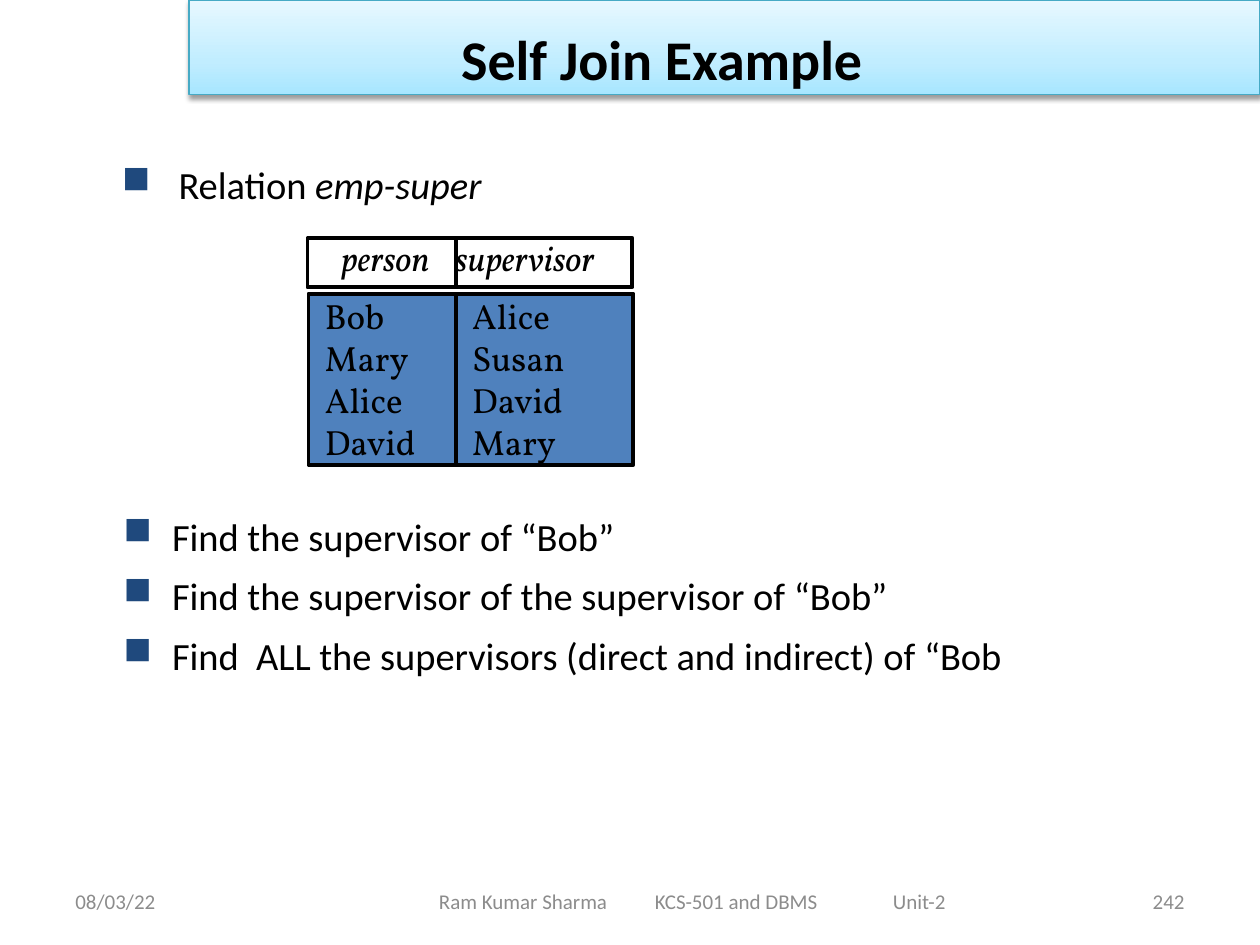
from lxml import etree
from pptx import Presentation
from pptx.dml.color import RGBColor
from pptx.enum.shapes import MSO_CONNECTOR, MSO_SHAPE
from pptx.enum.text import MSO_ANCHOR, PP_ALIGN
from pptx.oxml import parse_xml
from pptx.oxml.ns import qn
from pptx.util import Cm, Pt

RECT, LINE = MSO_SHAPE.RECTANGLE, MSO_CONNECTOR.STRAIGHT
TOP, MID = MSO_ANCHOR.TOP, MSO_ANCHOR.MIDDLE
LEFT, MIDDLE, RIGHT = PP_ALIGN.LEFT, PP_ALIGN.CENTER, PP_ALIGN.RIGHT
NS = 'xmlns:a="http://schemas.openxmlformats.org/drawingml/2006/main"'

# Content
TITLE = "Self Join Example"
INTRO = [("Relation ", {}), ("emp-super", {"italic": True})]
TASKS = [
    "Find the supervisor of “Bob”",
    "Find the supervisor of the supervisor of “Bob”",
    "Find  ALL the supervisors (direct and indirect) of “Bob",
]
HEAD = ("person", "supervisor")
ROWS = [("Bob", "Alice"), ("Mary", "Susan"), ("Alice", "David"), ("David", "Mary")]
DATE, PAGE = "08/03/22", "242"
FOOT = ("Ram Kumar Sharma", "KCS-501 and DBMS", "Unit-2")

# Formats
BODY = {"name": "Calibri", "size": Pt(22)}
BOLD = {"name": "Calibri", "size": Pt(32), "bold": True}
CELL = {"name": "Vollkorn", "size": Pt(20)}
SMALL = {"name": "Calibri", "size": Pt(12)}
BLACK, GREY, NAVY, BLUE, WHITE = "000000", "8C8C8C", "1F497D", "4F81BD", "FFFFFF"
STOPS = [(0, "A7E6FF"), (35, "C1EDFF"), (100, "E7F8FF")]


def color(code):
    return RGBColor.from_string(code)


def style(font, form, code):
    for key, value in form.items():
        setattr(font, key, value)
    font.color.rgb = color(code)


def text(home, box, paras, form, code=BLACK, align=LEFT, anchor=TOP, inset=0.25):
    """Each paragraph is a list of (words, extra format) runs."""
    frame = home.add_textbox(*map(Cm, box)).text_frame
    frame.word_wrap = True
    frame.vertical_anchor = anchor
    frame.margin_left = Cm(inset)
    for i, runs in enumerate(paras):
        para = frame.add_paragraph() if i else frame.paragraphs[0]
        para.alignment = align
        for words, extra in runs:
            run = para.add_run()
            run.text = words
            style(run.font, {**form, **extra}, code)
    return frame.paragraphs


def tabs(paras, stops):
    for para in paras:
        part = etree.SubElement(para._p.get_or_add_pPr(), qn("a:tabLst"))
        for stop in stops:
            etree.SubElement(part, qn("a:tab"), pos=str(Cm(stop)), algn="l")


def bullets(paras, indent):
    for para in paras:
        para.space_before = Pt(7.7)
        props = para._p.get_or_add_pPr()
        props.set("marL", str(Cm(indent)))
        props.set("indent", str(-Cm(indent)))
        tint = etree.SubElement(props, qn("a:buClr"))
        etree.SubElement(tint, qn("a:srgbClr"), val=NAVY)
        etree.SubElement(props, qn("a:buChar"), char="■")


def block(home, box, fill, edge, width):
    shape = home.add_shape(RECT, *map(Cm, box))
    shape.shadow.inherit = False
    shape.fill.solid()
    shape.fill.fore_color.rgb = color(fill)
    shape.line.color.rgb = color(edge)
    shape.line.width = Pt(width)
    return shape


def rule(home, x, top, bottom):
    line = home.add_connector(LINE, Cm(x), Cm(top), Cm(x), Cm(bottom))
    line.line.color.rgb = color(BLACK)
    line.line.width = Pt(2.25)
    etree.SubElement(line._element.spPr, qn("a:effectLst"))


def glow(shape):
    """Three-stop gradient, light at the top, and a soft shadow below."""
    props = shape._element.spPr
    stops = "".join(
        f'<a:gs pos="{at * 1000}"><a:srgbClr val="{code}"/></a:gs>' for at, code in STOPS
    )
    grad = parse_xml(
        f'<a:gradFill {NS} rotWithShape="1"><a:gsLst>{stops}</a:gsLst>'
        '<a:lin ang="16200000" scaled="0"/></a:gradFill>'
    )
    props.replace(props.find(qn("a:solidFill")), grad)
    shade = etree.SubElement(
        props.find(qn("a:effectLst")), qn("a:outerShdw"),
        blurRad=str(Pt(3.1)), dist=str(Pt(1.6)), dir="5400000", rotWithShape="0",
    )
    tint = etree.SubElement(shade, qn("a:srgbClr"), val=BLACK)
    etree.SubElement(tint, qn("a:alpha"), val="38000")


def plain(words):
    return [(words, {})]


deck = Presentation()
deck.slide_width, deck.slide_height = Cm(25.4), Cm(19.05)
slide = deck.slides.add_slide(deck.slide_layouts[6])
shapes = slide.shapes

# Footer
low, tall = 17.65, 1.02
text(shapes, (1.27, low, 5.92, tall), [plain(DATE)], SMALL, GREY, anchor=MID)
foot = text(shapes, (6.99, low, 13.97, tall), [plain("\t".join(FOOT))],
            SMALL, GREY, anchor=MID, inset=1.86)
tabs(foot, (4.35, 9.15))
text(shapes, (18.21, low, 5.92, tall), [plain(PAGE)], SMALL, GREY, RIGHT, MID)

# Title banner
glow(block(shapes, (3.81, 0, 21.59, 1.91), WHITE, "46AAC5", 0.75))
text(shapes, (2.13, 0.33, 22.43, 1.7), [plain(TITLE)], BOLD, BLACK, MIDDLE, MID)

# Bulleted text
bullets(text(shapes, (2.21, 3.12, 19.53, 1.35), [INTRO], BODY), 1.14)
bullets(text(shapes, (2.24, 10.21, 23.04, 3.73), map(plain, TASKS), BODY), 0.98)

# Relation: header and body, each a box with a divider
group = shapes.add_group_shape().shapes
split = 9.19
for x, y, high, fill in ((6.2, 4.8, 0.99, WHITE), (6.22, 5.92, 3.45, BLUE)):
    block(group, (x, y, 6.55, high), fill, BLACK, 2.25)
    rule(group, split, y, y + high)
head = text(group, (6.45, 4.65, 6.53, 1.12), [plain("\t".join(HEAD))],
            {**CELL, "italic": True}, inset=0.43)
tabs(head, (2.29,))
rows = text(group, (6.3, 5.82, 6.48, 3.68), [plain("\t".join(row)) for row in ROWS], CELL)
tabs(rows, (2.97,))

deck.save("out.pptx")
